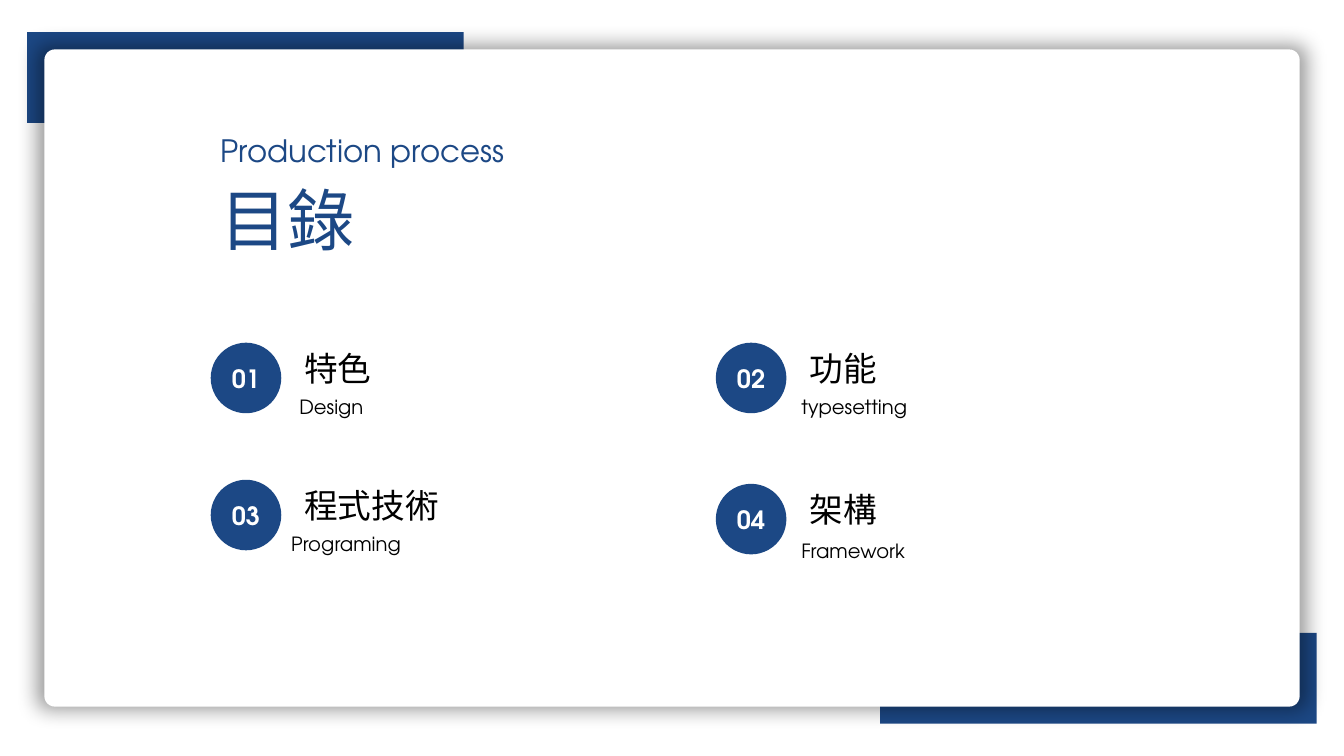
from lxml import etree
from pptx import Presentation
from pptx.dml.color import RGBColor
from pptx.enum.shapes import MSO_SHAPE
from pptx.enum.text import MSO_ANCHOR, MSO_AUTO_SIZE, PP_ALIGN
from pptx.oxml.ns import qn
from pptx.util import Pt

PX = 9144  # 100 px to the inch
SLIDE_W, SLIDE_H = 1333, 750
RECT, ROUNDED, OVAL = MSO_SHAPE.RECTANGLE, MSO_SHAPE.ROUNDED_RECTANGLE, MSO_SHAPE.OVAL
JUSTIFY, CENTER = PP_ALIGN.JUSTIFY, PP_ALIGN.CENTER
MIDDLE = MSO_ANCHOR.MIDDLE
FIT_TEXT = MSO_AUTO_SIZE.SHAPE_TO_FIT_TEXT

NAVY = RGBColor(0x1C, 0x48, 0x85)
WHITE = RGBColor(0xFF, 0xFF, 0xFF)
BLACK = RGBColor(0x00, 0x00, 0x00)
CHINESE_FONT = "Lato"
LATIN_FONT = "TeX Gyre Adventor"

BADGE = 70
# number, heading, caption, badge left and top, caption offset from the badge
ENTRIES = [
    ("01", "特色", "Design", 209, 340, 78, 47),
    ("02", "功能", "typesetting", 710, 340, 75, 47),
    ("03", "程式技術", "Programing", 209, 476, 70, 47),
    ("04", "架構", "Framework", 710, 480, 75, 50),
]


def emu(*lengths):
    return [length * PX for length in lengths]


def write(frame, text, size, font=LATIN_FONT, color=BLACK, bold=False, align=JUSTIFY):
    paragraph = frame.paragraphs[0]
    paragraph.alignment = align
    run = paragraph.add_run()
    run.text = text
    run.font.size = Pt(size)
    run.font.name = font
    run.font.bold = bold
    run.font.color.rgb = color
    if font == CHINESE_FONT:
        etree.SubElement(run.font._element, qn("a:ea"), typeface=font)


def add_label(slide, box, text, size, **style):
    frame = slide.shapes.add_textbox(*emu(*box)).text_frame
    frame.word_wrap = True
    frame.auto_size = FIT_TEXT
    write(frame, text, size, **style)


def add_block(slide, kind, box, color):
    block = slide.shapes.add_shape(kind, *emu(*box))
    block.shadow.inherit = False
    block.fill.solid()
    block.fill.fore_color.rgb = color
    block.line.fill.background()
    return block


def cast_soft_shadow(shape):
    effects = shape._element.spPr.find(qn("a:effectLst"))
    shadow = etree.SubElement(
        effects, qn("a:outerShdw"), blurRad=str(20 * PX),
        sx="101000", sy="101000", algn="ctr", rotWithShape="0")
    black = etree.SubElement(shadow, qn("a:srgbClr"), val="000000")
    etree.SubElement(black, qn("a:alpha"), val="40000")


def add_frame(slide, left, top, width, height):
    """Draw the white panel over two navy corners that stick out of it."""
    corner_w, corner_h, overhang = 433, 90, 17
    right = left + width + overhang - corner_w
    bottom = top + height + overhang - corner_h
    for x, y in ((right, bottom), (left - overhang, top - overhang)):
        add_block(slide, RECT, (x, y, corner_w, corner_h), NAVY)
    panel = add_block(slide, ROUNDED, (left, top, width, height), WHITE)
    panel.adjustments[0] = 0.016
    cast_soft_shadow(panel)


def add_heading(slide, left, top, width):
    add_label(slide, (left, top + 46, width, 91), "目錄", 48,
              font=CHINESE_FONT, color=NAVY)
    add_label(slide, (left, top, width, 47), "Production process", 22, color=NAVY)


def add_entry(slide, number, heading, caption, left, top, caption_dx, caption_dy):
    badge = add_block(slide, OVAL, (left, top, BADGE, BADGE), NAVY)
    frame = badge.text_frame
    frame.margin_left = frame.margin_right = 0
    frame.word_wrap = False
    frame.vertical_anchor = MIDDLE
    write(frame, number, 18, color=WHITE, bold=True, align=CENTER)
    add_label(slide, (left + 83, top, 405, 50), heading, 24, font=CHINESE_FONT)
    add_label(slide, (left + caption_dx, top + caption_dy, 185, 34), caption, 14)


def main():
    deck = Presentation()
    deck.slide_width, deck.slide_height = emu(SLIDE_W, SLIDE_H)
    slide = deck.slides.add_slide(deck.slide_layouts[6])
    add_frame(slide, 44, 49, 1245, 652)
    add_heading(slide, 209, 126, 318)
    for entry in ENTRIES:
        add_entry(slide, *entry)
    deck.save("out.pptx")


if __name__ == "__main__":
    main()
